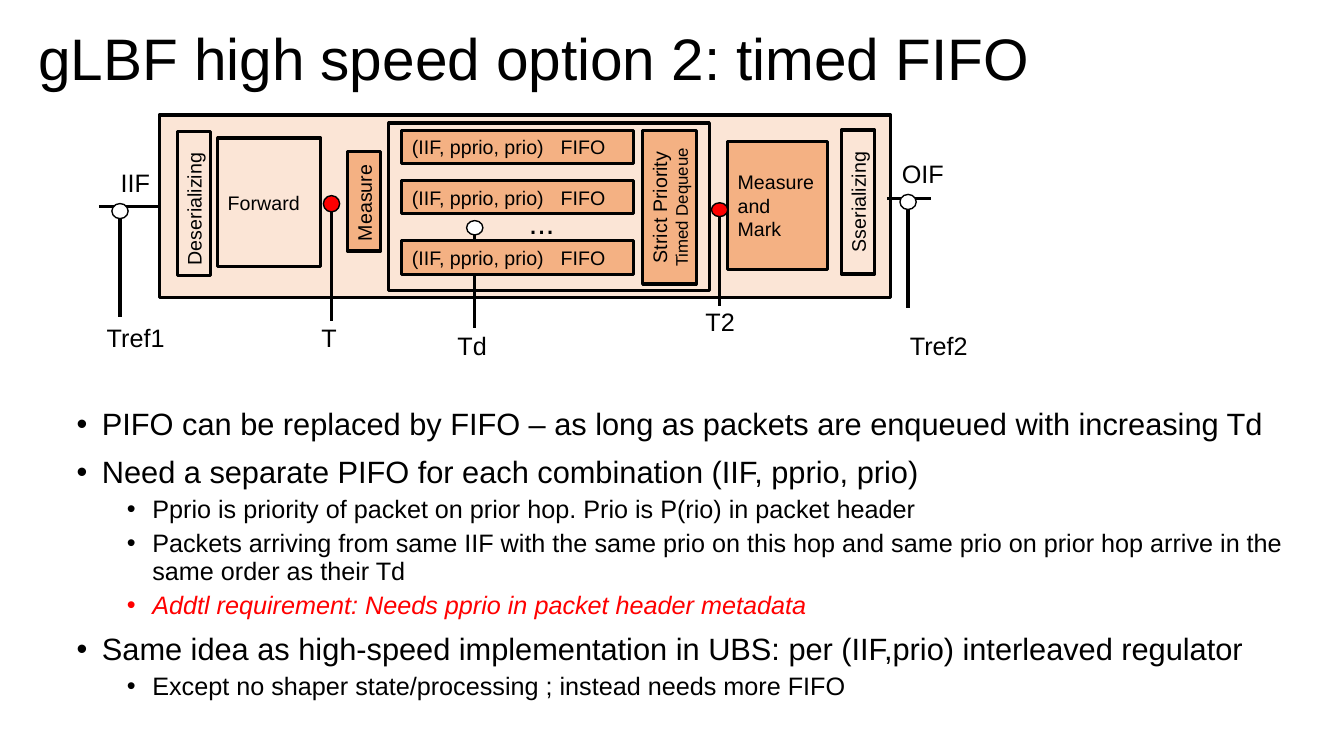
"""Build the slide on the timed FIFO option of gLBF."""
from dataclasses import dataclass
from typing import Optional

from lxml import etree
from pptx import Presentation
from pptx import util as u
from pptx.dml.color import RGBColor
from pptx.enum import shapes, text
from pptx.oxml.ns import qn

BLACK = RGBColor(0x00, 0x00, 0x00)
WHITE = RGBColor(0xFF, 0xFF, 0xFF)
RED = RGBColor(0xFF, 0x00, 0x00)
PEACH = RGBColor(0xFB, 0xE5, 0xD6)
ORANGE = RGBColor(0xF4, 0xB1, 0x83)
FONT = "Arial"
LEFT, CENTER = text.PP_ALIGN.LEFT, text.PP_ALIGN.CENTER
RECTANGLE, OVAL = shapes.MSO_SHAPE.RECTANGLE, shapes.MSO_SHAPE.OVAL


@dataclass
class Block:
    left: float
    top: float
    width: float
    height: float
    fill: Optional[RGBColor] = None
    lines: tuple[str, ...] = ()
    sizes: tuple[float, ...] = (14, 14, 14)
    align: text.PP_ALIGN = LEFT
    rotation: float = 0
    tab: float = 0


@dataclass
class Probe:
    left: float
    top: float
    height: float
    bottom: float
    fill: RGBColor = WHITE


@dataclass
class Label:
    words: str
    left: float
    top: float
    width: float
    size: float = 18


@dataclass
class Bullet:
    words: str
    level: int = 0
    color: RGBColor = BLACK
    italic: bool = False


def write(para, words: str, *, size: float, color: RGBColor = BLACK, italic: bool = False,
          align: text.PP_ALIGN = LEFT, spacing: Optional[float] = None,
          before: Optional[float] = None) -> None:
    span = para.add_run()
    span.text = words
    span.font.name, span.font.size = FONT, u.Pt(size)
    span.font.color.rgb, span.font.italic = color, italic
    para.alignment = align
    if spacing is not None:
        para.line_spacing = spacing
    if before is not None:
        para.space_before = u.Pt(before)


def next_para(frame, index: int):
    return frame.add_paragraph() if index else frame.paragraphs[0]


def add_outline(page, kind, left: float, top: float, width: float, height: float,
                fill: Optional[RGBColor], weight: float):
    shape = page.shapes.add_shape(kind, u.Cm(left), u.Cm(top), u.Cm(width), u.Cm(height))
    shape.shadow.inherit = False
    if fill is None:
        shape.fill.background()
    else:
        shape.fill.solid()
        shape.fill.fore_color.rgb = fill
    shape.line.color.rgb, shape.line.width = BLACK, u.Pt(weight)
    return shape


def add_block(page, block: Block) -> None:
    box = add_outline(page, RECTANGLE, block.left, block.top, block.width, block.height,
                      block.fill, 2.25)
    box.rotation = block.rotation
    box.text_frame.vertical_anchor = text.MSO_ANCHOR.MIDDLE
    for index, (words, size) in enumerate(zip(block.lines, block.sizes)):
        para = next_para(box.text_frame, index)
        write(para, words, size=size, align=block.align)
        if block.tab:
            stops = etree.SubElement(para._p.get_or_add_pPr(), qn("a:tabLst"))
            etree.SubElement(stops, qn("a:tab"), pos=str(u.Cm(block.tab)), algn="l")


def add_wire(page, x1: float, y1: float, x2: float, y2: float) -> None:
    wire = page.shapes.add_connector(shapes.MSO_CONNECTOR.STRAIGHT,
                                     u.Cm(x1), u.Cm(y1), u.Cm(x2), u.Cm(y2))
    wire.line.color.rgb, wire.line.width = BLACK, u.Pt(2.25)
    etree.SubElement(wire._element.spPr, qn("a:effectLst"))


def add_probe(page, probe: Probe) -> None:
    width = 0.41
    add_outline(page, OVAL, probe.left, probe.top, width, probe.height, probe.fill, 1)
    middle = probe.left + width / 2
    add_wire(page, middle, probe.top + probe.height, middle, probe.bottom)


def add_label(page, label: Label) -> None:
    box = page.shapes.add_textbox(u.Cm(label.left), u.Cm(label.top), u.Cm(label.width), u.Cm(1.02))
    box.text_frame.word_wrap = False
    box.text_frame.margin_right = u.Cm(0)
    write(box.text_frame.paragraphs[0], label.words, size=label.size)


def add_bullets(page, bullets: list[Bullet]) -> None:
    box = page.shapes.add_textbox(u.Cm(1.68), u.Cm(10.19), u.Cm(31.12), u.Cm(7.75))
    box.text_frame.word_wrap = True
    for index, bullet in enumerate(bullets):
        para = next_para(box.text_frame, index)
        para.level = bullet.level
        write(para, bullet.words, size=18 if bullet.level else 22, color=bullet.color,
              italic=bullet.italic, spacing=0.9, before=5 if bullet.level else 10)
        props = para._p.get_or_add_pPr()
        props.set("marL", str(u.Cm(0.64 + 1.27 * bullet.level)))
        props.set("indent", str(u.Cm(-0.64)))
        etree.SubElement(props, qn("a:buFont"), typeface=FONT)
        etree.SubElement(props, qn("a:buChar"), char="•")


def add_title(page, words: str) -> None:
    title = page.shapes.title
    title.left, title.top, title.width, title.height = u.Cm(0.71), u.Cm(0.43), u.Cm(26.26), u.Cm(2.24)
    title.text_frame.auto_size = text.MSO_AUTO_SIZE.NONE
    title.text_frame.vertical_anchor = text.MSO_ANCHOR.MIDDLE
    write(title.text_frame.paragraphs[0], words, size=41.8, spacing=0.89)


BLOCKS = [
    Block(4.01, 2.9, 18.44, 4.6, PEACH),
    Block(3.07, 4.7, 3.63, 0.84, lines=("Deserializing",), rotation=270),
    Block(5.49, 3.48, 2.59, 3.23, lines=("Forward",)),
    Block(7.92, 4.65, 2.51, 0.84, ORANGE, ("Measure",), rotation=270),
    Block(14.94, 4.55, 3.86, 1.35, ORANGE, ("Strict Priority", "Timed Dequeue"), (14, 12),
          CENTER, 270),
    Block(19.81, 4.67, 3.63, 0.84, lines=("Sserializing",), align=CENTER, rotation=270),
    Block(18.34, 3.56, 2.51, 3.23, ORANGE, ("Measure", "and", "Mark")),
    Block(9.8, 3.1, 8.08, 4.22),
]
QUEUES = [Block(10.13, top, 5.84, 0.84, ORANGE, ("(IIF, pprio, prio)\tFIFO",), tab=3.75)
          for top in (3.28, 4.55, 6.07)]
PROBES = [
    Probe(8.15, 4.93, 0.41, 8.1, RED),
    Probe(17.93, 5.11, 0.35, 7.7, RED),
    Probe(11.76, 5.56, 0.36, 8.26),
    Probe(2.82, 5.13, 0.38, 8.0),
    Probe(22.68, 4.9, 0.38, 7.77),
]
LABELS = [
    Label("...", 13.08, 5.0, 1.17, 22),
    Label("T", 7.85, 8.0, 0.89),
    Label("Td", 11.28, 8.2, 1.24),
    Label("Tref1", 2.44, 8.0, 1.98),
    Label("IIF", 2.79, 4.09, 1.24),
    Label("Tref2", 22.68, 8.2, 1.98),
    Label("OIF", 22.48, 3.86, 1.57),
    Label("T2", 17.53, 7.59, 1.24),
]
BULLETS = [
    Bullet("PIFO can be replaced by FIFO – as long as packets are enqueued with increasing Td"),
    Bullet("Need a separate PIFO for each combination (IIF, pprio, prio)"),
    Bullet("Pprio is priority of packet on prior hop. Prio is P(rio) in packet header", 1),
    Bullet("Packets arriving from same IIF with the same prio on this hop and same prio "
           "on prior hop arrive in the same order as their Td", 1),
    Bullet("Addtl requirement: Needs pprio in packet header metadata", 1, RED, True),
    Bullet("Same idea as high-speed implementation in UBS: per (IIF,prio) interleaved regulator"),
    Bullet("Except no shaper state/processing ; instead needs more FIFO", 1),
]

deck = Presentation()
deck.slide_width, deck.slide_height = u.Cm(33.87), u.Cm(19.05)
page = deck.slides.add_slide(deck.slide_layouts.get_by_name("Title Only"))
add_title(page, "gLBF high speed option 2: timed FIFO")
add_bullets(page, BULLETS)
for block in BLOCKS:
    add_block(page, block)
add_wire(page, 2.49, 5.21, 4.06, 5.21)
add_wire(page, 22.35, 5.0, 23.47, 5.0)
for probe in PROBES:
    add_probe(page, probe)
for label in LABELS:
    add_label(page, label)
for queue in QUEUES:
    add_block(page, queue)
deck.save("out.pptx")
